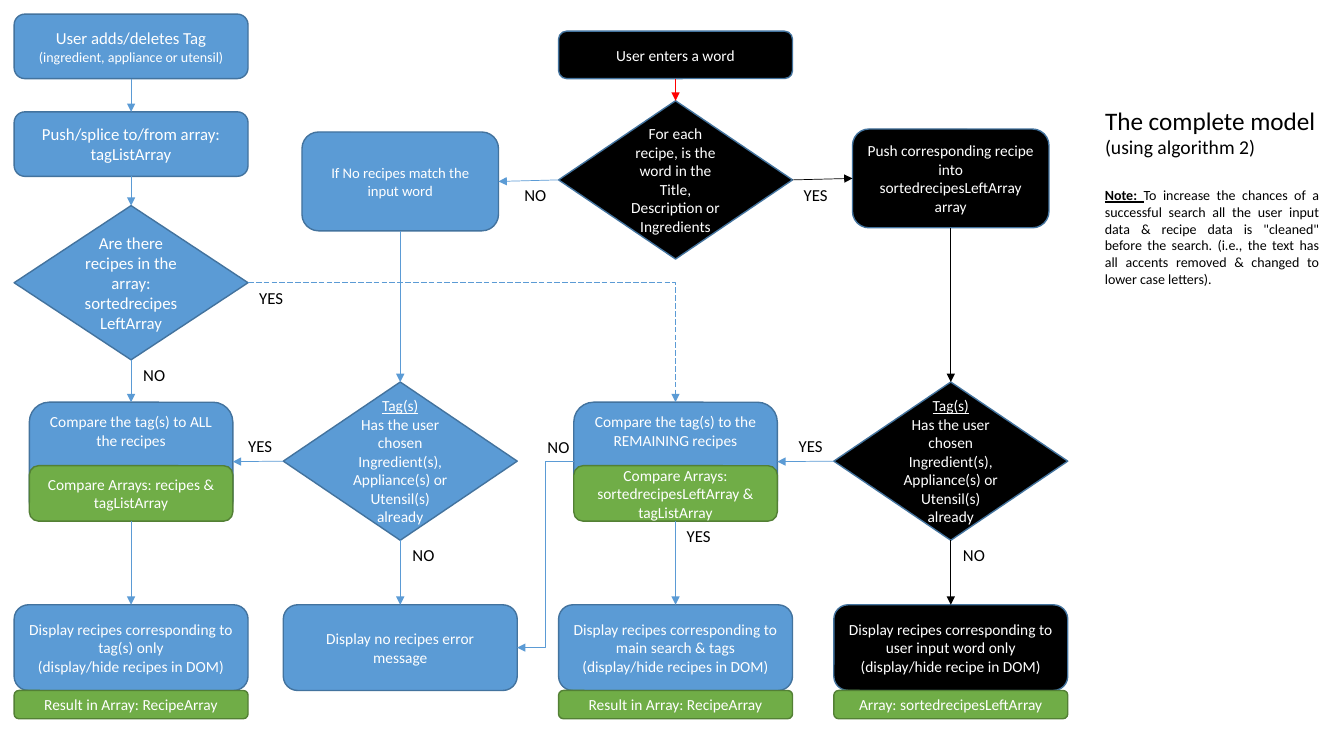
from collections import namedtuple
from lxml.etree import SubElement
from pptx import Presentation
from pptx.dml.color import RGBColor
from pptx.enum.dml import MSO_LINE
from pptx.enum.shapes import MSO_CONNECTOR, MSO_SHAPE
from pptx.enum.text import MSO_ANCHOR, MSO_AUTO_SIZE, PP_ALIGN
from pptx.oxml.ns import qn
from pptx.util import Inches, Pt

BLACK = RGBColor(0x00, 0x00, 0x00)
WHITE = RGBColor(0xFF, 0xFF, 0xFF)
RED = RGBColor(0xFF, 0x00, 0x00)
BLUE = RGBColor(0x5B, 0x9B, 0xD5)
DARK_BLUE = RGBColor(0x43, 0x73, 0x9E)
GREEN = RGBColor(0x70, 0xAD, 0x47)
DARK_GREEN = RGBColor(0x53, 0x80, 0x35)

Box = namedtuple("Box", "left top width height")
Label = namedtuple("Label", "text across down")
TOP, LEFT, BOTTOM, RIGHT = range(4)
STEP, QUESTION = MSO_SHAPE.ROUNDED_RECTANGLE, MSO_SHAPE.DIAMOND
ROWS = 75
DISPLAY_ROW, DISPLAY_ROWS = 60, 8.5
COMPARE_ROW, COMPARE_ROWS, COMPARE_SHARE = 39.9, 11.8, 0.87
MATCH_SHARE = 0.84
TAG_QUESTION = [
    ("Tag(s)", {"underline": True}),
    ("Has the user chosen", {}),
    ("Ingredient(s), Appliance(s) or Utensil(s) already", {}),
]

deck = Presentation()
deck.slide_width, deck.slide_height = Inches(13.33), Inches(7.5)
slide = deck.slides.add_slide(deck.slide_layouts[5])
row_height = deck.slide_height / ROWS


def apply(target, values):
    for name, value in values.items():
        setattr(target, name, value)


def write(paragraph, text, color, **values):
    run = paragraph.add_run()
    run.text = text
    apply(run.font, {"name": "Calibri", "size": Pt(11), **values})
    run.font.color.rgb = color


def node(column, row, rows, lines, fill=BLUE, outline=DARK_BLUE,
         kind=STEP, share=1, size=11, rows_below=0.5):
    width = column.width * share
    shape = slide.shapes.add_shape(
        kind, round(column.left + (column.width - width) / 2),
        round(column.top + row * row_height), round(width), round(rows * row_height))
    shape.shadow.inherit = False
    shape.fill.solid()
    shape.fill.fore_color.rgb = fill
    shape.line.color.rgb = outline
    shape.line.width = Pt(1)
    frame = shape.text_frame
    apply(frame, {"word_wrap": True, "vertical_anchor": MSO_ANCHOR.MIDDLE,
                  "margin_bottom": round(rows_below * row_height)})
    if isinstance(lines, str):
        lines = [(line, {}) for line in lines.split("\n")]
    for index, (text, values) in enumerate(lines):
        paragraph = frame.add_paragraph() if index else frame.paragraphs[0]
        paragraph.alignment = PP_ALIGN.CENTER
        write(paragraph, text, WHITE, **{"size": Pt(size), **values})
    return shape


def compare(column, task, arrays):
    step = node(column, COMPARE_ROW, COMPARE_ROWS, task,
                share=COMPARE_SHARE, rows_below=6.6)
    node(column, 46.2, 5.5, arrays, GREEN, DARK_GREEN, share=COMPARE_SHARE)
    return step


def display(column, task, result=None, fill=BLUE):
    step = node(column, DISPLAY_ROW, DISPLAY_ROWS, task, fill)
    if result:
        node(column, DISPLAY_ROW + DISPLAY_ROWS, 2.8, result, GREEN, DARK_GREEN)
    return step


def tag_column(column):
    return (
        node(column, 1.4, 6.4, [("User adds/deletes Tag", {}),
             ("(ingredient, appliance or utensil)", {"size": Pt(10)})], size=12),
        node(column, 11.1, 6.4, "Push/splice to/from array: tagListArray", size=12),
        node(column, 20.4, 15.3, "Are there recipes in the array: sortedrecipesLeftArray",
             kind=QUESTION, size=12),
        compare(column, "Compare the tag(s) to ALL the recipes",
                "Compare Arrays: recipes &\ntagListArray"),
        display(column, "Display recipes corresponding to tag(s) only\n"
                "(display/hide recipes in DOM)", "Result in Array: RecipeArray"),
    )


def no_match_column(column):
    return (
        node(column, 13.1, 9.8, "If No recipes match the input word",
             share=MATCH_SHARE, size=10.5),
        node(column, 37.9, 15.7, TAG_QUESTION, kind=QUESTION),
        display(column, "Display no recipes error message"),
    )


def word_column(column):
    return (
        node(column, 3.1, 4.7, "User enters a word", BLACK),
        node(column, 10, 15.7, "For each recipe, is the word in the Title, "
             "Description or Ingredients", BLACK, kind=QUESTION),
        compare(column, "Compare the tag(s) to the REMAINING recipes",
                "Compare Arrays: sortedrecipesLeftArray &\ntagListArray"),
        display(column, "Display recipes corresponding to main search & tags\n"
                "(display/hide recipes in DOM)", "Result in Array: RecipeArray"),
    )


def match_column(column):
    return (
        node(column, 12.8, 9.8, "Push corresponding recipe into "
             "sortedrecipesLeftArray\narray", BLACK, share=MATCH_SHARE),
        node(column, 37.9, 15.7, TAG_QUESTION, BLACK, kind=QUESTION),
        display(column, "Display recipes corresponding to user input word only\n"
                "(display/hide recipe in DOM)", "Array: sortedrecipesLeftArray", BLACK),
    )


def heading(column):
    title = slide.shapes.title
    apply(title, {"left": column.left, "top": round(9.9 * row_height),
                  "width": Inches(2.4), "height": round(6.4 * row_height)})
    apply(title.text_frame, {"word_wrap": True, "auto_size": MSO_AUTO_SIZE.NONE,
                             "vertical_anchor": MSO_ANCHOR.TOP})
    paragraph = title.text_frame.paragraphs[0]
    paragraph.alignment = PP_ALIGN.LEFT
    write(paragraph, "The complete model ", BLACK, size=Pt(18))
    write(paragraph, "(using algorithm 2)", BLACK, size=Pt(14))
    note = slide.shapes.add_textbox(column.left, round(18 * row_height),
                                    column.width, round(11.1 * row_height))
    note.text_frame.word_wrap = True
    paragraph = note.text_frame.paragraphs[0]
    paragraph.alignment = PP_ALIGN.JUSTIFY
    write(paragraph, "Note: ", BLACK, size=Pt(10), bold=True, underline=True)
    write(paragraph, "To increase the chances of a successful search all the user input "
          "data & recipe data is \"cleaned\" before the search. (i.e., the text has all "
          "accents removed & changed to lower case letters).", BLACK, size=Pt(10))


def link(source, exit_side, target, entry_side, color=BLUE, label=None,
         bend=None, dash=None):
    kind = MSO_CONNECTOR.ELBOW if bend else MSO_CONNECTOR.STRAIGHT
    arrow = slide.shapes.add_connector(kind, 0, 0, 0, 0)
    arrow.begin_connect(source, exit_side)
    arrow.end_connect(target, entry_side)
    arrow.line.color.rgb = color
    arrow.line.width = Pt(0.5)
    if dash:
        arrow.line.dash_style = dash
    properties = arrow._element.spPr
    if bend:
        properties.find(qn("a:prstGeom")).set("prst", bend)
    SubElement(properties.find(qn("a:ln")), qn("a:tailEnd"), type="triangle")
    SubElement(properties, qn("a:effectLst"))
    if label:
        width, height = Inches(0.46), Inches(0.3)
        answer = slide.shapes.add_textbox(
            round(arrow.begin_x + label.across * width),
            round(arrow.begin_y + label.down * height), width, height)
        apply(answer.text_frame, {"margin_left": 0, "margin_right": 0, "word_wrap": True})
        paragraph = answer.text_frame.paragraphs[0]
        paragraph.alignment = PP_ALIGN.CENTER
        write(paragraph, label.text, BLACK, size=Pt(12))


def chain(*steps):
    for source, target in zip(steps, steps[1:]):
        link(source, BOTTOM, target, TOP)


columns = [Box(Inches(left), 0, Inches(2.32), deck.slide_height)
           for left in (0.14, 2.81, 5.54, 8.27, 10.86)]
tag, push_tag, any_left, compare_all, show_tags = tag_column(columns[0])
no_match, tags_without_match, show_error = no_match_column(columns[1])
word, word_found, compare_rest, show_both = word_column(columns[2])
push_match, tags_with_match, show_word = match_column(columns[3])
heading(columns[4])

chain(tag, push_tag, any_left)
chain(compare_all, show_tags)
chain(no_match, tags_without_match)
link(any_left, BOTTOM, compare_all, TOP, label=Label("NO", 0, 0))
link(any_left, RIGHT, compare_rest, TOP, label=Label("YES", 0, 0),
     bend="bentConnector2", dash=MSO_LINE.LONG_DASH)
link(tags_without_match, LEFT, compare_all, RIGHT, label=Label("YES", -1, -1))
link(tags_without_match, BOTTOM, show_error, TOP, label=Label("NO", 0, 0))
link(word, BOTTOM, word_found, TOP, RED)
link(word_found, LEFT, no_match, RIGHT, label=Label("NO", -1, 0))
link(word_found, RIGHT, push_match, LEFT, BLACK, Label("YES", 0, 0))
link(push_match, BOTTOM, tags_with_match, TOP, BLACK)
link(tags_with_match, LEFT, compare_rest, RIGHT, label=Label("YES", -1, -1))
link(tags_with_match, BOTTOM, show_word, TOP, BLACK, Label("NO", 0, 0))
link(compare_rest, BOTTOM, show_both, TOP, label=Label("YES", 0, 0))
link(compare_rest, LEFT, show_error, RIGHT, label=Label("NO", -0.83, -1),
     bend="bentConnector3")

deck.save("out.pptx")
